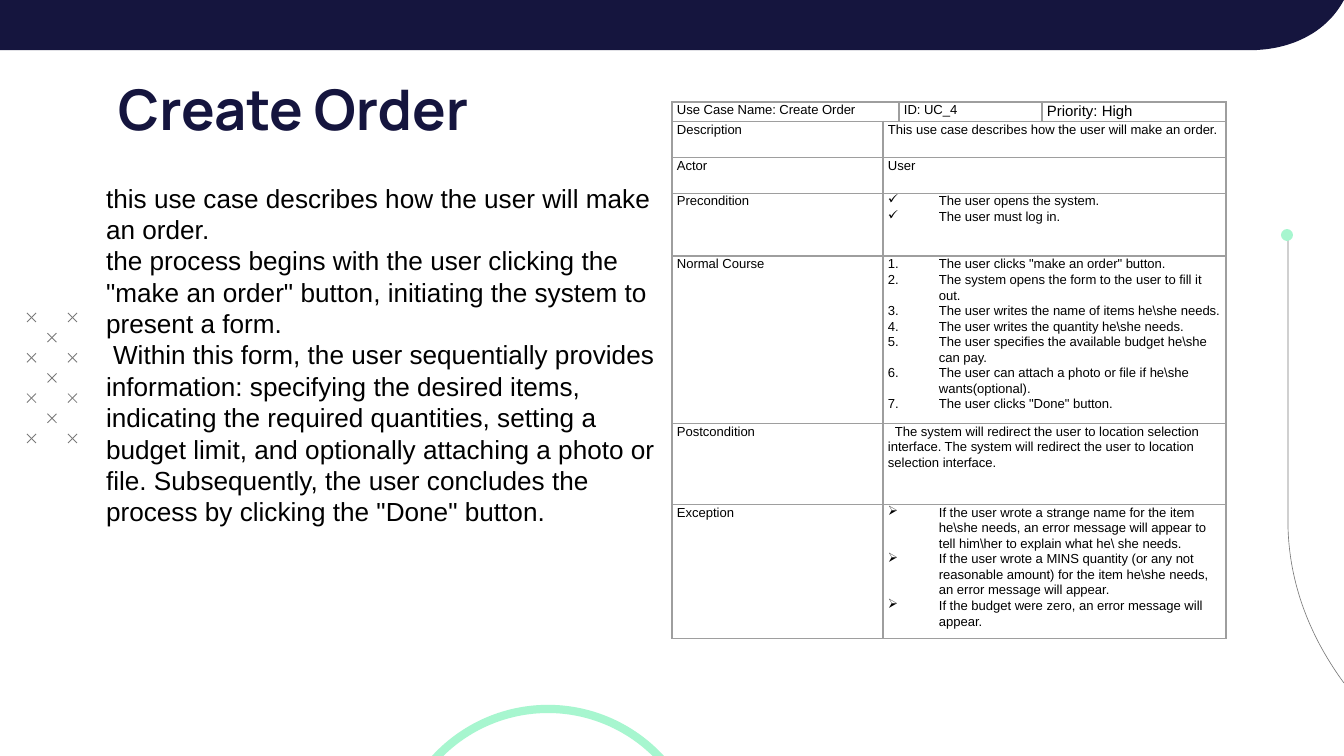
import pptx
import pptx.dml.color
import pptx.enum.shapes
import pptx.enum.text
import pptx.oxml
import pptx.oxml.ns
import pptx.util

SCALE = 914400 / 134.4
NAVY, MINT, GRAY, BLACK, RULE = "15153E", "A7F6CF", "7A7A7A", "000000", "9E9E9E"
NS = pptx.oxml.ns.nsdecls("a")
SHAPES = pptx.enum.shapes.MSO_SHAPE
PRECONDITIONS = ["The user opens the system.", "The user must log in."]
STEPS = [
    'The user clicks "make an order" button.',
    "The system opens the form to the user to fill it out.",
    "The user writes the name of items he\\she needs.",
    "The user writes the quantity he\\she needs.",
    "The user specifies the available budget he\\she can pay.",
    "The user can attach a photo or file if he\\she wants(optional).",
    'The user clicks "Done" button.',
]
REDIRECT = "The system will redirect the user to location selection interface."
EXCEPTIONS = [
    "If the user wrote a strange name for the item he\\she needs, an error message will appear "
    "to tell him\\her to explain what he\\ she needs.",
    "If the user wrote a MINS quantity (or any not reasonable amount) for the item he\\she needs, "
    "an error message will appear.",
    "If the budget were zero, an error message will appear.",
]
CHECK, ARROW = '<a:buChar %s char="✓"/>', '<a:buChar %s char="➢"/>'
NUMBER = '<a:buAutoNum %s type="arabicPeriod"/>'
USE_CASE = [
    ("Description", ["This use case describes how the user will make an order."], None, 0),
    ("Actor", ["User"], None, 0),
    ("Precondition", PRECONDITIONS, CHECK, 0),
    ("Normal Course", STEPS, NUMBER, 0),
    ("Postcondition", [REDIRECT + " " + REDIRECT], None, 7),
    ("Exception", EXCEPTIONS, ARROW, 0),
]
BODY = [
    ("this use case describes how the user will make an order.", 0),
    ('the process begins with the user clicking the "make an order" button, initiating the '
     "system to present a form.", 0),
    ("Within this form, the user sequentially provides information: specifying the desired items, "
     "indicating the required quantities, setting a budget limit, and optionally attaching a photo "
     'or file. Subsequently, the user concludes the process by clicking the "Done" button.', 7),
]


def px(n):
    """Turn px into EMU."""
    return round(n * SCALE)


def rgb(value):
    """Turn a hex string into a colour."""
    return pptx.dml.color.RGBColor.from_string(value)


def assign(obj, values):
    """Set each attribute named in values."""
    for name, value in values.items():
        setattr(obj, name, value)


def paint(sp, fill=None, line=None, width=0.44):
    """Give a shape its fill and outline without a shadow."""
    sp.shadow.inherit = False
    if fill:
        sp.fill.solid()
        sp.fill.fore_color.rgb = rgb(fill)
    else:
        sp.fill.background()
    if line:
        sp.line.color.rgb = rgb(line)
        sp.line.width = pptx.util.Pt(width)
    else:
        sp.line.fill.background()


def bezier(a, b, c, d, steps=24):
    """Return points along a cubic curve."""
    ts = [i / steps for i in range(steps + 1)]
    return [tuple((1 - t) ** 3 * p + 3 * t * (1 - t) ** 2 * q + 3 * t * t * (1 - t) * r + t ** 3 * s
                  for p, q, r, s in zip(a, b, c, d)) for t in ts]


def outline(s, points, close):
    """Build a freeform through points."""
    fb = s.shapes.build_freeform(*map(px, points[0]))
    fb.add_line_segments([tuple(map(px, pt)) for pt in points[1:]], close=close)
    return fb.convert_to_shape()


def write(p, text, size, color=BLACK, font="Arial", bold=False, bullet=None, indent=0):
    """Fill a paragraph, with an optional bullet or first-line indent."""
    pPr = p._p.get_or_add_pPr()
    if bullet:
        pPr.set("marL", str(px(51)))
        pPr.set("indent", str(-px(51)))
        pPr.append(pptx.oxml.parse_xml(f'<a:buClr {NS}><a:srgbClr val="{color}"/></a:buClr>'))
        pPr.append(pptx.oxml.parse_xml(bullet % NS))
    elif indent:
        pPr.set("indent", str(px(indent)))
    r = p.add_run()
    r.text = text
    assign(r.font, {"size": pptx.util.Pt(size), "name": font, "bold": bold})
    r.font.color.rgb = rgb(color)


def text_frame(s, x, y, w, h, margins):
    """Add a wrapping text box and return its frame."""
    tf = s.shapes.add_textbox(*map(px, (x, y, w, h))).text_frame
    left, top = map(px, margins)
    assign(tf, {"word_wrap": True, "margin_left": left, "margin_right": left,
                "margin_top": top, "margin_bottom": top})
    return tf


def add_crosses(s, x, y, w, h, size=9):
    """Place crosses on alternate cells of a 3 by 7 grid."""
    dx, dy = (w - size) / 2, (h - size) / 6
    for col, row in ((c, r) for r in range(7) for c in range(3) if (c + r) % 2 == 0):
        left, top = x + col * dx, y + row * dy
        for y1, y2 in ((top, top + size), (top + size, top)):
            cn = s.shapes.add_connector(pptx.enum.shapes.MSO_CONNECTOR.STRAIGHT,
                                        *map(px, (left, y1, left + size, y2)))
            cn.line.color.rgb = rgb(GRAY)
            cn.line.width = pptx.util.Pt(0.44)
            cn._element.spPr.append(pptx.oxml.parse_xml(f"<a:effectLst {NS}/>"))


def add_ring(s, x, y, d):
    """Draw the thin arc and the thick mint arc of one circle."""
    for start, end, color, width in ((-93, 177, GRAY, 0.44), (177, -93, MINT, 4.4)):
        sp = s.shapes.add_shape(SHAPES.ARC, *map(px, (x, y, d, d)))
        sp.adjustments[0], sp.adjustments[1] = start * 0.6, end * 0.6
        paint(sp, line=color, width=width)


def add_side_curve(s, x, y, w, h):
    """Draw the line that bends off the right edge, with its dot."""
    bend = bezier((x, y + h - 162), (x, y + h - 104), (x + 20, y + h - 49), (x + w, y + h))
    paint(outline(s, [(x, y)] + bend, False), line=GRAY, width=0.35)
    paint(s.shapes.add_shape(SHAPES.OVAL, *map(px, (x - 7, y - 6, 12, 12))), fill=MINT)


def add_banner(s, x, y, w, h):
    """Draw the top band with its rounded corner."""
    right, bottom = x + w, y + h
    corner = bezier((right - 87, bottom), (right - 48, bottom - 2), (right - 16, y + 30), (right, y))
    paint(outline(s, [(x, y), (x, bottom)] + corner, True), fill=NAVY)


def add_title(s, x, y, w, h):
    """Write the slide title."""
    tf = text_frame(s, x, y, w, h, (13, 13))
    write(tf.paragraphs[0], "Create Order", 30, NAVY, "Manrope", True)


def add_body(s, x, y, w, h):
    """Write the description paragraphs."""
    tf = text_frame(s, x, y, w, h, (13, 7))
    for i, (text, indent) in enumerate(BODY):
        p = tf.add_paragraph() if i else tf.paragraphs[0]
        write(p, text, 14, indent=indent)


def fill_cell(cell, texts, size=7, bullet=None, indent=0):
    """Write the paragraphs of a table cell."""
    for i, text in enumerate(texts):
        p = cell.text_frame.add_paragraph() if i else cell.text_frame.paragraphs[0]
        write(p, text, size, bullet=bullet, indent=indent)
        p.line_spacing = 1.07


def add_use_case(s, x, y, w, h):
    """Build the use case table."""
    widths, heights = (211, 16, 143, w - 370), (19, 36, 36, 63, 167, 81, h - 402)
    table = s.shapes.add_table(7, 4, *map(px, (x, y, w, h))).table
    assign(table, {"first_row": False, "horz_banding": False})
    for col, width in zip(table.columns, widths):
        col.width = px(width)
    for row, height in zip(table.rows, heights):
        row.height = px(height)
    for cell in table.iter_cells():
        assign(cell, {"margin_left": px(5), "margin_right": px(5), "margin_top": 0, "margin_bottom": 0})
        for side in "LRTB":
            cell._tc.get_or_add_tcPr().append(pptx.oxml.parse_xml(
                f'<a:ln{side} {NS} w="9525"><a:solidFill><a:srgbClr val="{RULE}"/></a:solidFill></a:ln{side}>'))
        cell.fill.background()
    table.cell(0, 0).merge(table.cell(0, 1))
    for col, text, size in ((0, "Use Case Name: Create Order", 7), (2, "ID: UC_4", 7), (3, "Priority: High", 8)):
        fill_cell(table.cell(0, col), [text], size)
    for row, (label, texts, bullet, indent) in enumerate(USE_CASE, 1):
        table.cell(row, 1).merge(table.cell(row, 3))
        fill_cell(table.cell(row, 0), [label])
        fill_cell(table.cell(row, 1), texts, bullet=bullet, indent=indent)


def main():
    """Build and save the slide."""
    prs = pptx.Presentation()
    assign(prs, {"slide_width": px(1344), "slide_height": px(756)})
    s = prs.slides.add_slide(prs.slide_layouts[6])
    add_crosses(s, 27, 313, 50, 130)
    add_ring(s, 395, 709, 306)
    add_side_curve(s, 1288, 235, 56, 448)
    add_banner(s, 0, 0, 1344, 50)
    add_title(s, 105, 62, 1134, 84)
    add_body(s, 93, 175, 600, 361)
    add_use_case(s, 672, 102, 554, 536)
    prs.save("out.pptx")


if __name__ == "__main__":
    main()
